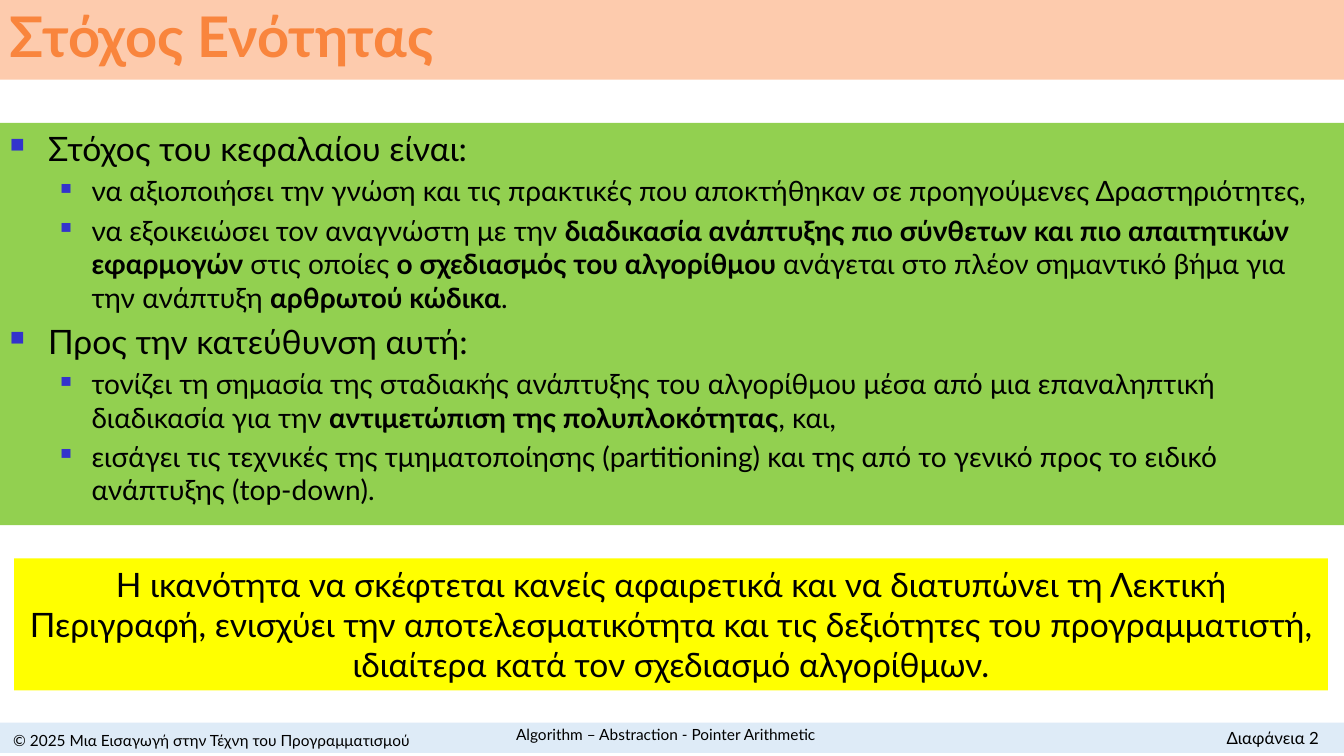
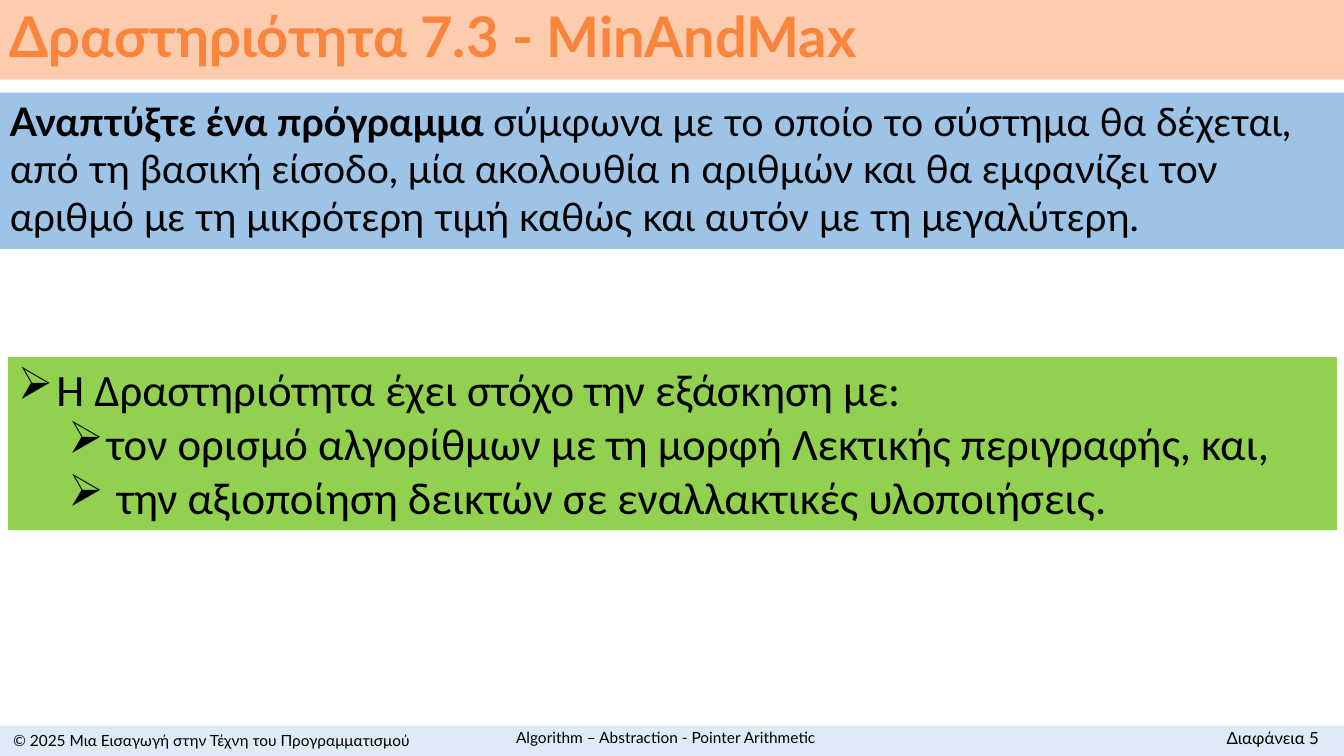
import pptx
import pptx.dml.color
import pptx.enum.shapes
import pptx.enum.text
import pptx.util
from lxml import etree
from pptx.oxml.ns import qn

Inches = pptx.util.Inches
Pt = pptx.util.Pt
rgb = pptx.dml.color.RGBColor.from_string
ALIGN = pptx.enum.text.PP_ALIGN
ANCHOR = pptx.enum.text.MSO_ANCHOR

WIDTH, HEIGHT = 13.33, 7.5
BLACK = "000000"
TITLE_BAND, TITLE_TEXT = "FDCBAD", "F9853D"
FOOTER_BAND = "DEEBF7"
GREEN, YELLOW, BLUE = "92D050", "FFFF00", "9DC3E6"
BULLET_BLUE = "3333CC"


def add_box(slide, left, top, width, height, fill=None, anchor=ANCHOR.TOP):
    """Add a filled rectangle, or a plain text box when there is no fill."""
    place = [Inches(length) for length in (left, top, width, height)]
    if fill:
        box = slide.shapes.add_shape(pptx.enum.shapes.MSO_SHAPE.RECTANGLE, *place)
        box.shadow.inherit = False
        box.fill.solid()
        box.fill.fore_color.rgb = rgb(fill)
        box.line.fill.background()
    else:
        box = slide.shapes.add_textbox(*place)
    box.text_frame.word_wrap = True
    box.text_frame.vertical_anchor = anchor
    return box


def add_text(box, text, size, font="Lato", color=BLACK, align=ALIGN.LEFT, level=0,
             before=0, line=None, bullet=None, bullet_color=None, bullet_size=None,
             margin=0, hang=0):
    """Add a paragraph to the box; parts between ** marks are bold."""
    frame = box.text_frame
    para = frame.paragraphs[0]
    if para.runs:
        para = frame.add_paragraph()
        para.space_before = Pt(before)
    para.alignment = align
    para.level = level
    if line:
        para.line_spacing = line
    if bullet:
        props = para._p.get_or_add_pPr()
        props.set("marL", str(Inches(margin)))
        props.set("indent", str(-Inches(hang)))
        if bullet_color:
            tint = etree.SubElement(props, qn("a:buClr"))
            etree.SubElement(tint, qn("a:srgbClr"), val=bullet_color)
        if bullet_size:
            etree.SubElement(props, qn("a:buSzPct"), val=str(bullet_size * 1000))
        etree.SubElement(props, qn("a:buChar"), char=bullet)
    for index, part in enumerate(text.split("**")):
        if part:
            span = para.add_run()
            span.text = part
            span.font.name = font
            span.font.size = Pt(size)
            span.font.bold = index % 2 == 1
            span.font.color.rgb = rgb(color)


deck = pptx.Presentation()
deck.slide_width = Inches(WIDTH)
deck.slide_height = Inches(HEIGHT)

# Title band and footer of every slide: title, slide number, top of the footer band
pages = []
for title, number, band_top in (
    ("Στόχος Ενότητας", 2, 7.17),
    ("Δραστηριότητα 7.3 - MinAndMax", 5, 7.2),
):
    page = deck.slides.add_slide(deck.slide_layouts[6])
    pages.append(page)
    title_band = add_box(page, 0, 0, WIDTH, 0.79, TITLE_BAND, ANCHOR.MIDDLE)
    add_text(title_band, f"**{title}**", 40, color=TITLE_TEXT, line=0.9)

    add_box(page, 0, band_top, WIDTH, 0.3, FOOTER_BAND)
    copyright_box = add_box(page, 0, 7.22, 4.2, 0.26, anchor=ANCHOR.MIDDLE)
    add_text(copyright_box, "© 2025 Μια Εισαγωγή στην Τέχνη του Προγραμματισμού", 11,
             align=ALIGN.CENTER)
    number_box = add_box(page, 11.12, 7.17, 2.06, 0.3)
    add_text(number_box, f"Διαφάνεια {number}", 12, align=ALIGN.RIGHT)
    topic_box = add_box(page, 4.07, band_top - 0.03, 5.07, 0.3, anchor=ANCHOR.MIDDLE)
    add_text(topic_box, "Algorithm – Abstraction - Pointer Arithmetic", 11,
             align=ALIGN.CENTER)

goal_page, activity_page = pages

# Goal of the unit
goal_levels = (
    dict(size=24, before=4.8, bullet_size=60, margin=0.38, hang=0.38),
    dict(size=20, before=4, bullet_size=55, margin=0.81, hang=0.31),
)
goals = add_box(goal_page, 0, 1.22, WIDTH, 3.99, GREEN)
for level, text in (
    (0, "Στόχος του κεφαλαίου είναι:"),
    (1, "να αξιοποιήσει την γνώση και τις πρακτικές που αποκτήθηκαν σε προηγούμενες "
        "Δραστηριότητες,"),
    (1, "να εξοικειώσει τον αναγνώστη με την **διαδικασία ανάπτυξης πιο σύνθετων και πιο "
        "απαιτητικών εφαρμογών** στις οποίες **ο σχεδιασμός του αλγορίθμου **ανάγεται στο "
        "πλέον σημαντικό βήμα για την ανάπτυξη **αρθρωτού κώδικα**."),
    (0, "Προς την κατεύθυνση αυτή:"),
    (1, "τονίζει τη σημασία της σταδιακής ανάπτυξης του αλγορίθμου μέσα από μια "
        "επαναληπτική διαδικασία για την **αντιμετώπιση της πολυπλοκότητας**, και,"),
    (1, "εισάγει τις τεχνικές της τμηματοποίησης (partitioning) και της από το γενικό "
        "προς το ειδικό ανάπτυξης (top-down)."),
):
    add_text(goals, text, level=level, bullet="■", bullet_color=BULLET_BLUE,
             **goal_levels[level])

skill = add_box(goal_page, 0.14, 5.54, 13.03, 1.31, YELLOW)
add_text(skill, "Η ικανότητα να σκέφτεται κανείς αφαιρετικά και να διατυπώνει τη Λεκτική "
         "Περιγραφή, ενισχύει την αποτελεσματικότητα και τις δεξιότητες του "
         "προγραμματιστή, ιδιαίτερα κατά τον σχεδιασμό αλγορίθμων.", 24, align=ALIGN.CENTER)

# Activity: the task and what it practises
task = add_box(activity_page, 0, 0.92, WIDTH, 1.55, BLUE)
add_text(task, "**Αναπτύξτε ένα πρόγραμμα **σύμφωνα με το οποίο το σύστημα θα δέχεται, από τη "
         "βασική είσοδο, μία ακολουθία n αριθμών και θα εμφανίζει τον αριθμό με τη "
         "μικρότερη τιμή καθώς και αυτόν με τη μεγαλύτερη.", 28)

practice = add_box(activity_page, 0.08, 3.54, 13.18, 1.72, GREEN)
for level, margin, hang, text in (
    (0, 0.38, 0.38, "Η Δραστηριότητα έχει στόχο την εξάσκηση με:"),
    (1, 0.88, 0.38, "τον ορισμό αλγορίθμων με τη μορφή Λεκτικής περιγραφής, και,"),
    (1, 0.98, 0.48, "την αξιοποίηση δεικτών σε εναλλακτικές υλοποιήσεις."),
):
    add_text(practice, text, 32, font="Calibri", level=level, bullet="➢",
             margin=margin, hang=hang)

deck.save("out.pptx")
